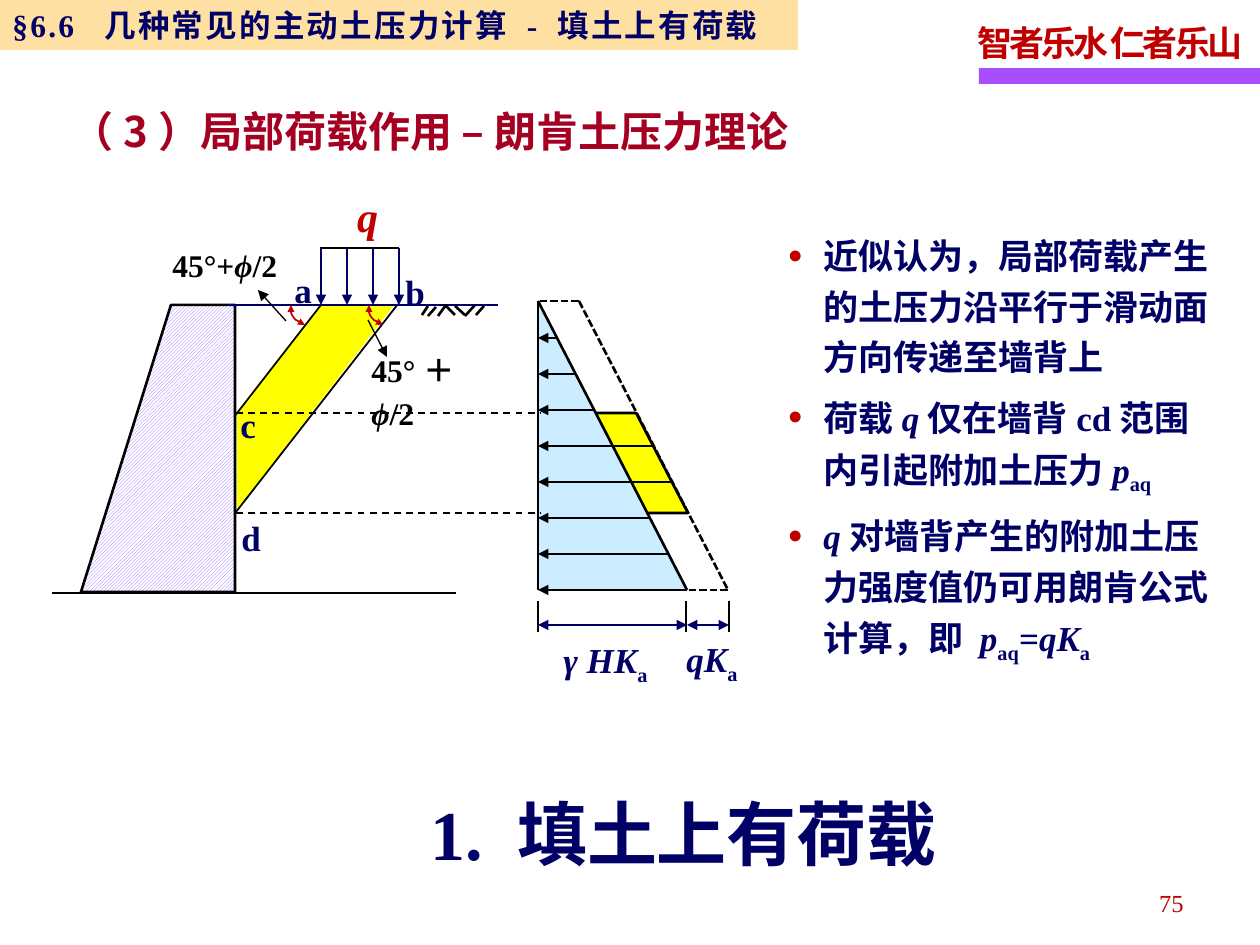
from dataclasses import dataclass

from lxml import etree
from pptx import Presentation
from pptx import util as u
from pptx.dml.color import RGBColor
from pptx.enum import dml, shapes, text
from pptx.oxml import ns

PX = 914400 / 126


@dataclass(frozen=True)
class Theme:
    """Colours, fonts and type sizes of the slide."""
    navy: str = "000066"
    red: str = "C00000"
    crimson: str = "A50021"
    black: str = "000000"
    white: str = "FFFFFF"
    purple: str = "A74FFF"
    sand: str = "FFCC66"
    yellow: str = "FFFF00"
    ice: str = "CCECFF"
    violet: str = "9966FF"
    serif: str = "Times New Roman"
    sans: str = "Noto Sans CJK SC"
    display: int = 40
    heading: int = 24
    body: int = 20
    label: int = 18
    small: int = 14


T = Theme()
ITALIC = {"italic": True}
SUB = {"base": -25}


def px(n):
    """Turn pixels into EMU."""
    return u.Emu(round(n * PX))


def sub(parent, tag, **attrs):
    """Append a DrawingML element to a parent."""
    return etree.SubElement(parent, ns.qn(tag), attrs)


def add_run(p, txt, size=T.body, color=T.navy, font=T.serif, bold=True, italic=False, base=0, spc=0):
    """Add one formatted run to a paragraph."""
    r = p.add_run()
    r.text = txt
    f = r.font
    f.size, f.name, f.bold, f.italic = u.Pt(size), font, bold, italic
    f.color.rgb = RGBColor.from_string(color)
    rpr = r._r.get_or_add_rPr()
    sub(rpr, "a:ea", typeface=T.sans)
    if base:
        rpr.set("baseline", str(base * 1000))
    if spc:
        rpr.set("spc", str(round(spc * 100)))


class Sketch:
    """Draws styled elements on the current slide."""

    def __init__(self, s):
        """Keep the slide."""
        self.s = s

    def style(self, sp, fill=None, line=None, width=1.5):
        """Set fill and outline and remove the shadow."""
        sp.shadow.inherit = False
        if fill:
            sp.fill.solid()
            sp.fill.fore_color.rgb = RGBColor.from_string(fill)
        else:
            sp.fill.background()
        if line:
            sp.line.color.rgb = RGBColor.from_string(line)
            sp.line.width = u.Pt(width)
        else:
            sp.line.fill.background()
        return sp

    def shape(self, kind, x, y, w, h, **style):
        """Add a preset shape."""
        return self.style(self.s.shapes.add_shape(kind, px(x), px(y), px(w), px(h)), **style)

    def free(self, pts, close=True, **style):
        """Add an outline through the given points."""
        b = self.s.shapes.build_freeform(*pts[0], scale=PX)
        b.add_line_segments(pts[1:], close=close)
        return self.style(b.convert_to_shape(), **style)

    def arrows(self, sp, ends, size="med"):
        """Put triangle arrowheads on the named ends."""
        for end in ends:
            sub(sp.line._get_or_add_ln(), f"a:{end}End", type="triangle", w=size, len=size)

    def line(self, x1, y1, x2, y2, color=T.black, width=1, ends=(), dash=None):
        """Add a straight line or arrow."""
        c = self.s.shapes.add_connector(shapes.MSO_CONNECTOR.STRAIGHT, px(x1), px(y1), px(x2), px(y2))
        c.line.color.rgb = RGBColor.from_string(color)
        c.line.width = u.Pt(width)
        if dash:
            c.line.dash_style = dash
        self.arrows(c, ends)
        sub(c._element.spPr, "a:effectLst")

    def arc(self, x, y):
        """Add a curved double arrow that marks an angle."""
        curves = [((0, 0), (-1, 4), (0, 10), (3, 13)), ((3, 13), (5, 16), (8, 16), (14, 20))]
        pts = [(x, y)]
        for curve in curves:
            for t in (0.25, 0.5, 0.75, 1):
                k = ((1 - t) ** 3, 3 * t * (1 - t) ** 2, 3 * t * t * (1 - t), t ** 3)
                dx, dy = (sum(a * b for a, b in zip(k, axis)) for axis in zip(*curve))
                pts.append((x + dx, y + dy))
        self.arrows(self.free(pts, close=False, line=T.red, width=1), ("head", "tail"), "sm")

    def text(self, x, y, w, h, runs, align=None, spacing=1.15, wrap=True, grow=True, **fmt):
        """Add a one-paragraph text box."""
        tf = self.s.shapes.add_textbox(px(x), px(y), px(w), px(h)).text_frame
        tf.word_wrap = wrap
        tf.auto_size = text.MSO_AUTO_SIZE.SHAPE_TO_FIT_TEXT if grow else text.MSO_AUTO_SIZE.NONE
        self.fill_paragraph(tf.paragraphs[0], runs, align, spacing, **fmt)
        return tf

    def fill_paragraph(self, p, runs, align=None, spacing=1.15, **fmt):
        """Write a string or a list of text and format pairs."""
        p.alignment, p.line_spacing = align, spacing
        for txt, extra in [(runs, {})] if isinstance(runs, str) else runs:
            add_run(p, txt, **{**fmt, **extra})

    def bullets(self, x, y, w, h, items):
        """Add a bulleted list centred in its box."""
        tf = self.s.shapes.add_textbox(px(x), px(y), px(w), px(h)).text_frame
        tf.word_wrap, tf.vertical_anchor = True, text.MSO_ANCHOR.MIDDLE
        tf.auto_size = text.MSO_AUTO_SIZE.SHAPE_TO_FIT_TEXT
        for i, runs in enumerate(items):
            p = tf.add_paragraph() if i else tf.paragraphs[0]
            if i:
                p.space_before = u.Pt(3)
            p.space_after = u.Pt(3)
            p.line_spacing = 1.2
            ppr = p._p.get_or_add_pPr()
            ppr.set("marL", str(px(36)))
            ppr.set("indent", str(-px(36)))
            sub(sub(ppr, "a:buClr"), "a:srgbClr", val=T.red)
            sub(ppr, "a:buSzPct", val="130000")
            sub(ppr, "a:buFont", typeface=T.serif)
            sub(ppr, "a:buChar", char="•")
            self.fill_paragraph(p, runs, spacing=1.2)


def draw_titles(d):
    """Draw the header band, motto, headings and page number."""
    rect = shapes.MSO_SHAPE.RECTANGLE
    d.shape(rect, 979, 68, 281, 16, fill=T.purple)
    motto = d.text(965, 9, 295, 62, "智者乐水 仁者乐山", wrap=False, color=T.red, spc=-1.7)
    motto.margin_right = 0
    d.text(902, 877, 294, 50, "75", align=text.PP_ALIGN.RIGHT, grow=False,
           size=T.small, color=T.red, bold=False)
    band = d.shape(rect, 0, 0, 798, 50, fill=T.sand)
    sub(band.fill._xPr.find(".//" + ns.qn("a:srgbClr")), "a:alpha", val="60000")
    runs = [("§6.6", {}), (" ", {"spc": 7.1}), ("几种常见的主动土压力计算 - 填土上有荷载", {})]
    d.fill_paragraph(band.text_frame.paragraphs[0], runs, text.PP_ALIGN.LEFT, 1.0, size=T.label, spc=1.3)
    d.text(238, 784, 891, 97, "1. 填土上有荷载", align=text.PP_ALIGN.CENTER, spacing=1.0, size=T.display)
    d.text(59, 74, 868, 87, "（3）局部荷载作用 – 朗肯土压力理论", spacing=1.5, grow=False,
           size=T.heading, color=T.crimson, font=T.sans)


def draw_wall(d):
    """Draw the wall, ground, strip load and failure zone."""
    d.free([(237, 510), (237, 412), (320, 305), (394, 305)], fill=T.yellow)
    d.line(321, 305, 234, 417)
    d.line(398, 304, 236, 512)
    wall = d.free([(81, 592), (235, 592), (235, 305), (171, 305)], line=T.black)
    wall.fill.patterned()
    wall.fill.pattern = dml.MSO_PATTERN.DARK_UPWARD_DIAGONAL
    wall.fill.fore_color.rgb = RGBColor.from_string(T.violet)
    wall.fill.back_color.rgb = RGBColor.from_string(T.white)
    d.line(52, 593, 456, 593, width=1.5)
    d.line(228, 305, 498, 305, T.navy, 1.5)
    for x in range(321, 400, 26):
        d.line(x, 248, x, 305, T.navy, 1.5, ("tail",))
    d.line(320, 248, 399, 248)
    for mark in [(428, 306, 422, 315), (436, 307, 428, 316), (446, 305, 438, 316), (445, 305, 455, 315),
                 (455, 306, 465, 315), (465, 316, 475, 305), (476, 315, 484, 306)]:
        d.line(*mark, width=1.5)
    q = d.text(357, 183, 43, 54, "q", size=T.heading, color=T.red, italic=True)
    q.margin_left = q.margin_right = q.margin_top = q.margin_bottom = 0
    for name, x, y in [("a", 282, 256), ("b", 393, 258), ("c", 228, 391), ("d", 229, 504)]:
        d.text(x, y, 34, 58, name)
    for plus, x, y, arc_x, pointer in [("+", 160, 234, 291, (286, 321, 258, 290)),
                                       ("＋", 359, 339, 369, (368, 320, 387, 357))]:
        d.arc(arc_x, 305)
        d.text(x, y, 147, 57, [("45°" + plus, {}), ("ϕ", ITALIC), ("/2", {})], size=T.label, color=T.black)
        d.line(*pointer, width=0.75, ends=("tail",))


def draw_pressure(d):
    """Draw the earth pressure diagram and its dimensions."""
    left, top, base, width, extra = 538, 301, 590, 149, 41
    zone = d.shape(shapes.MSO_SHAPE.PARALLELOGRAM, 592, 413, 96, 100, fill=T.yellow, line=T.black)
    zone.adjustments[0] = 0.541
    zone._element.spPr.find(ns.qn("a:xfrm")).set("flipH", "1")
    d.shape(shapes.MSO_SHAPE.RIGHT_TRIANGLE, left, top, width, base - top, fill=T.ice)
    for y in range(338, base + 1, 36):
        x = round(left + (y - top) * width / (base - top))
        d.line(x, y, left, y, width=1.5 if y == base else 1, ends=("tail",))
        if y in (446, 482):
            d.line(x + extra, y, x, y)
    right = left + width
    d.line(left, top, left, base, width=1.5)
    d.line(left, top, right, base, width=1.5)
    for y in (413, 513):
        d.line(236, y, left + 2, y, dash=dml.MSO_LINE.DASH)
    for ends in [(left + extra, top, right + extra, base), (left + extra, top, left, top),
                 (right + extra, base, right, base)]:
        d.line(*ends, width=1.5, dash=dml.MSO_LINE.SQUARE_DOT)
    for x in (left, right - 1, right + extra + 1):
        d.line(x, 601, x, 632)
    for x1, x2 in [(left, right), (right, right + extra + 1)]:
        d.line(x1, 625, x2, 625, T.navy, 0.75, ("head", "tail"))
    for name, x, y, w in [("γ HK", 551, 625, 113), ("qK", 674, 624, 79)]:
        d.text(x, y, w, 58, [(name, ITALIC), ("a", SUB)])


def main():
    """Build and save the slide."""
    prs = Presentation()
    prs.slide_width, prs.slide_height = px(1260), px(945)
    d = Sketch(prs.slides.add_slide(prs.slide_layouts[6]))
    draw_titles(d)
    draw_wall(d)
    draw_pressure(d)
    d.bullets(775, 223, 456, 445, [
        "近似认为，局部荷载产生的土压力沿平行于滑动面方向传递至墙背上",
        [("荷载", {}), ("q", ITALIC), ("仅在墙背cd范围内引起附加土压力", {}), ("p", ITALIC), ("aq", SUB)],
        [("q", ITALIC), ("对墙背产生的附加土压力强度值仍可用朗肯公式计算，即 ", {}), ("p", ITALIC),
         ("aq", SUB), ("=", {}), ("qK", ITALIC), ("a", SUB)]])
    prs.save("out.pptx")


if __name__ == "__main__":
    main()
